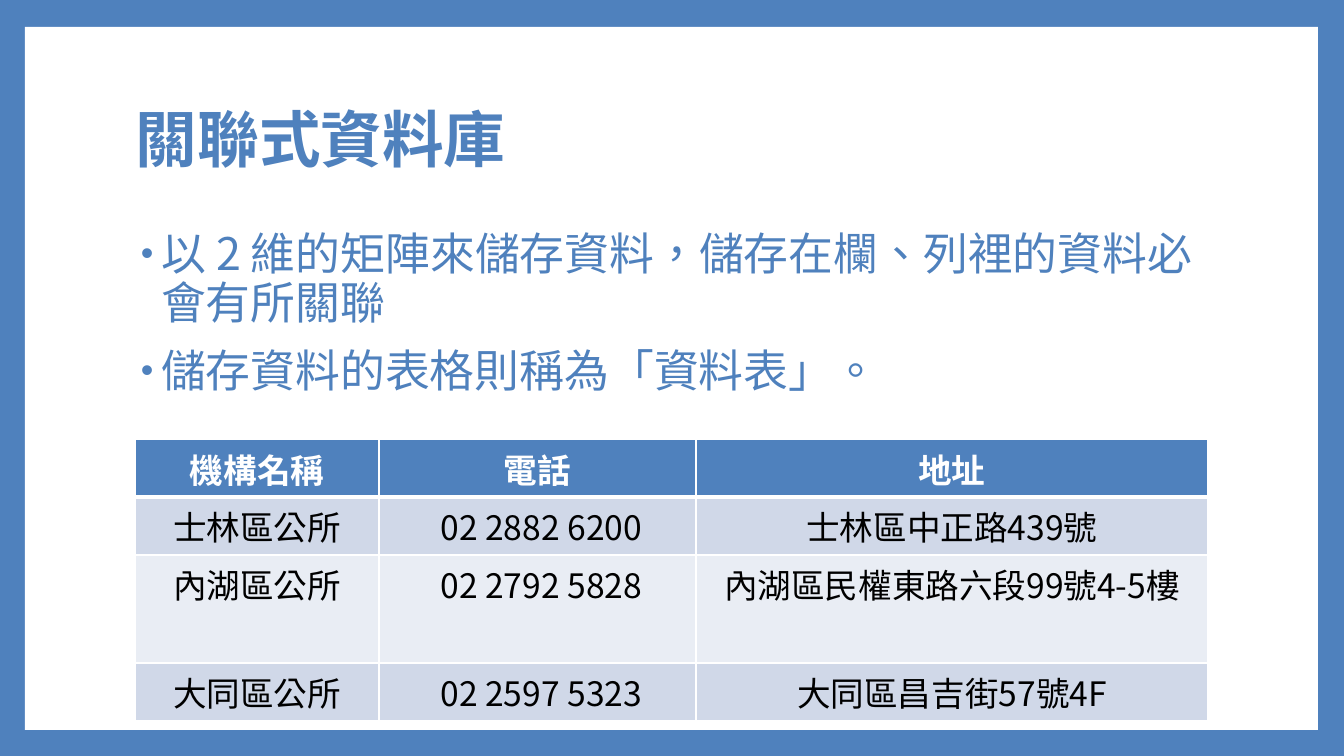
from lxml.etree import SubElement
from pptx import Presentation
from pptx.dml.color import RGBColor
from pptx.enum.lang import MSO_LANGUAGE_ID
from pptx.enum.shapes import MSO_SHAPE
from pptx.enum.text import MSO_ANCHOR, PP_ALIGN
from pptx.oxml.ns import qn
from pptx.util import Inches, Pt

SCALE = 914400 / 100.8
FACE = "Noto Sans CJK SC"
COLORS = {
    "blue": "4F81BD",
    "white": "FFFFFF",
    "black": "000000",
    "odd": "D0D8E8",
    "even": "E9EDF4",
}
POINTS = [
    "以 2 維的矩陣來儲存資料，儲存在欄、列裡的資料必會有所關聯",
    "儲存資料的表格則稱為「資料表」。",
]
OFFICES = [
    ["機構名稱", "電話", "地址"],
    ["士林區公所", " 02 2882 6200", "士林區中正路439號"],
    ["內湖區公所", " 02 2792 5828", "內湖區民權東路六段99號4-5樓"],
    ["大同區公所", " 02 2597 5323", "大同區昌吉街57號4F"],
]
WIDTHS = [244, 317, 512]
HEIGHTS = [58, 58, 108, 58]


def px(*sizes):
    return [round(size * SCALE) for size in sizes]


def paint(fill, color):
    fill.solid()
    fill.fore_color.rgb = RGBColor.from_string(COLORS[color])


def style(para, size, color, bold=False):
    font = para.font
    font.size, font.bold, font.name = Pt(size), bold, FACE
    font.language_id = MSO_LANGUAGE_ID.TRADITIONAL_CHINESE
    paint(font.fill, color)
    SubElement(font._element, qn("a:ea"), typeface=FACE)


def add_panel(slide, *box):
    panel = slide.shapes.add_shape(MSO_SHAPE.RECTANGLE, *px(*box))
    panel.shadow.inherit = False
    paint(panel.fill, "white")
    panel.line.fill.background()


def add_text(slide, box, anchor):
    frame = slide.shapes.add_textbox(*px(*box)).text_frame
    frame.word_wrap = True
    frame.vertical_anchor = anchor
    return frame


def add_title(slide, text, *box):
    para = add_text(slide, box, MSO_ANCHOR.MIDDLE).paragraphs[0]
    para.text = text
    para.line_spacing = 0.9
    style(para, 44, "blue", True)


def add_bullet(para):
    props = para._p.get_or_add_pPr()
    props.set("marL", str(Inches(0.25)))
    props.set("indent", str(Inches(-0.2)))
    tint = SubElement(props, qn("a:buClr"))
    SubElement(tint, qn("a:srgbClr"), val=COLORS["blue"])
    SubElement(props, qn("a:buSzPct"), val="80000")
    SubElement(props, qn("a:buFont"), typeface="Arial")
    SubElement(props, qn("a:buChar"), char="•")


def add_list(slide, points, *box):
    frame = add_text(slide, box, MSO_ANCHOR.TOP)
    frame.text = "\n".join(points)
    for para in frame.paragraphs:
        add_bullet(para)
        para.line_spacing = 0.9
        para.space_before = Pt(14)
        style(para, 32, "blue")


def add_edge(cell, side, width):
    props = cell._tc.get_or_add_tcPr()
    line = SubElement(props, qn("a:ln" + side), w=str(Pt(width)))
    fill = SubElement(line, qn("a:solidFill"))
    SubElement(fill, qn("a:srgbClr"), val=COLORS["white"])


def fill_cell(cell, text, row):
    head = row == 0
    edges = {"L": 1, "R": 1, "T": 3 if row == 1 else 1, "B": 3 if head else 1}
    for side, width in edges.items():
        add_edge(cell, side, width)
    paint(cell.fill, "blue" if head else "odd" if row % 2 else "even")
    cell.text = text
    para = cell.text_frame.paragraphs[0]
    para.alignment = PP_ALIGN.CENTER
    style(para, 24, "white" if head else "black", head)


def add_grid(slide, rows, left, top):
    box = px(left, top, sum(WIDTHS), sum(HEIGHTS))
    grid = slide.shapes.add_table(len(rows), len(WIDTHS), *box).table
    for column, width in zip(grid.columns, px(*WIDTHS)):
        column.width = width
    for line, height in zip(grid.rows, px(*HEIGHTS)):
        line.height = height
    for row, texts in enumerate(rows):
        for col, text in enumerate(texts):
            fill_cell(grid.cell(row, col), text, row)


def main():
    deck = Presentation()
    deck.slide_width, deck.slide_height = px(1344, 756)
    slide = deck.slides.add_slide(deck.slide_layouts[6])
    paint(slide.background.fill, "blue")
    add_panel(slide, 25, 27, 1293, 703)
    add_title(slide, "關聯式資料庫", 126, 68, 1089, 149)
    add_list(slide, POINTS, 126, 227, 1089, 446)
    add_grid(slide, OFFICES, 135, 439)
    deck.save("out.pptx")


main()
